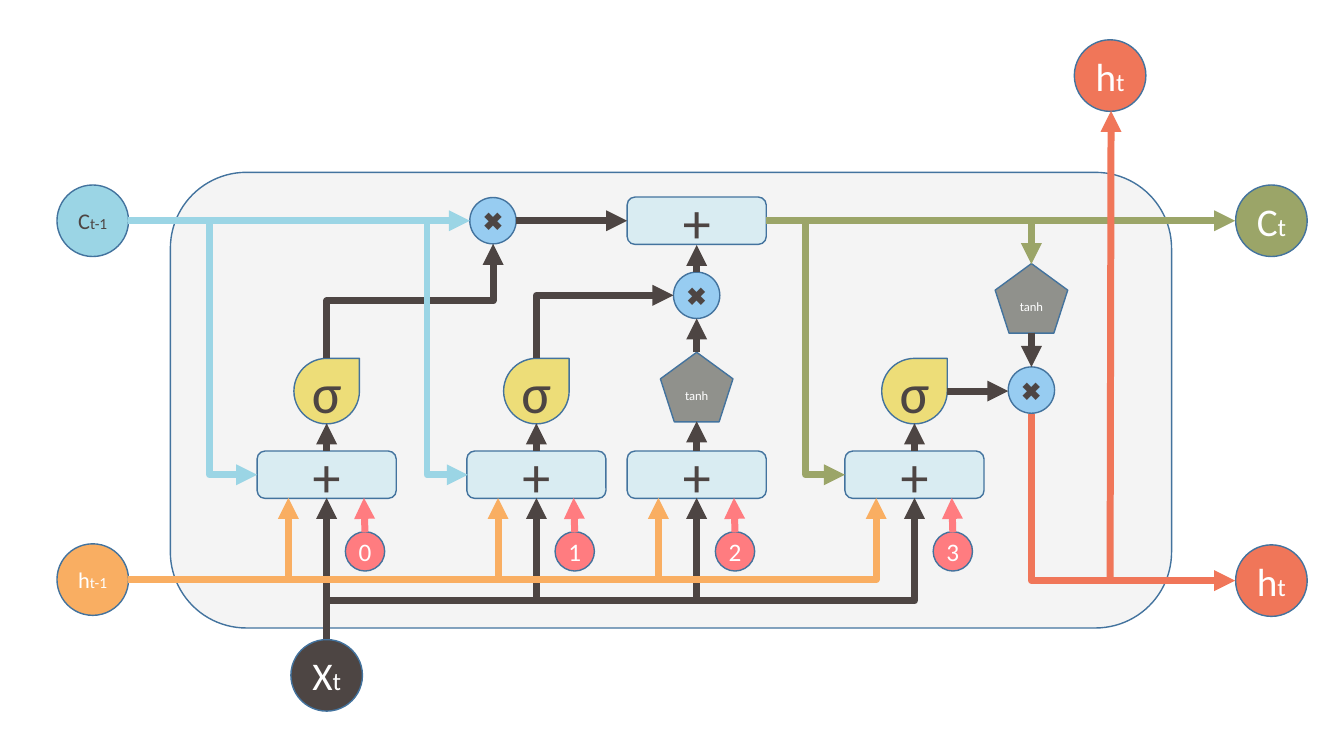
from lxml import etree
from pptx import Presentation
from pptx.dml.color import RGBColor
from pptx.enum.shapes import MSO_CONNECTOR, MSO_SHAPE
from pptx.enum.text import MSO_ANCHOR, PP_ALIGN
from pptx.oxml.ns import qn
from pptx.util import Inches, Pt

OVAL, BOX = MSO_SHAPE.OVAL, MSO_SHAPE.ROUNDED_RECTANGLE
DROP, PENTAGON = MSO_SHAPE.TEAR, MSO_SHAPE.REGULAR_PENTAGON
STRAIGHT, ELBOW = MSO_CONNECTOR.STRAIGHT, MSO_CONNECTOR.ELBOW
MIDDLE, CENTER = MSO_ANCHOR.MIDDLE, PP_ALIGN.CENTER

DARK, WHITE, OUTLINE, PANEL = "4D4543", "FFFFFF", "43739E", "F4F4F4"
BLUE, ORANGE, GREEN, RED, PINK = "9BD5E5", "F9AE62", "9BA568", "F07659", "FF7C80"

# kind: preset, width, height, fill, text colour, text size
KINDS = {
    "sum": (BOX, 1.38, 0.47, "D9ECF2", DARK, 40),
    "sigma": (DROP, 0.65, 0.65, "EDDD78", DARK, 40),
    "tanh": (PENTAGON, 0.72, 0.69, "90918C", WHITE, 9),
    "times": (OVAL, 0.46, 0.46, "97CCF1", DARK, 18),
    "bias": (OVAL, 0.39, 0.39, PINK, WHITE, 18),
}
STATE_SIZE = 0.71
FORGET, INPUT, CANDIDATE, OUTPUT = GATES = (3.24, 5.32, 6.91, 9.07)
SIDE = 0.38                   # offset of the bias and hidden-state inputs
CELL_Y, SIGMA_Y, SUM_Y, BIAS_Y, HIDDEN_Y = 2.19, 3.88, 4.71, 5.47, 5.75
SUM_TOP, SUM_BOTTOM, X_TOP = 4.47, 4.94, 6.34
LAST_X = 10.23                # column of the output tanh and product


def rgb(hex_color):
    """Turn a hex string into a colour."""
    return RGBColor.from_string(hex_color)


def shape(s, preset, center, width, height, fill, runs=(), color=WHITE):
    """Add an outlined shape around a centre, with (text, size) runs."""
    x, y = center
    sp = s.shapes.add_shape(preset, Inches(x - width / 2), Inches(y - height / 2),
                            Inches(width), Inches(height))
    sp.shadow.inherit = False
    sp.fill.solid()
    sp.fill.fore_color.rgb = rgb(fill)
    sp.line.color.rgb = rgb(OUTLINE)
    sp.line.width = Pt(1)
    tf = sp.text_frame
    frame = {"word_wrap": False, "vertical_anchor": MIDDLE, "margin_left": 0,
             "margin_right": 0, "margin_top": 0, "margin_bottom": 0}
    for name, value in frame.items():
        setattr(tf, name, value)
    p = tf.paragraphs[0]
    p.alignment = CENTER
    for text, size in runs:
        r = p.add_run()
        r.text = text
        for name, value in {"name": "Calibri", "size": Pt(size)}.items():
            setattr(r.font, name, value)
        r.font.color.rgb = rgb(color)


def node(s, kind, center, text):
    """Add one operation of the cell."""
    preset, width, height, fill, color, size = KINDS[kind]
    shape(s, preset, center, width, height, fill, [(text, size)], color)


def state(s, center, letter, index, fill, sizes=(28, 18), color=WHITE):
    """Add a circle for an input or output state."""
    shape(s, OVAL, center, STATE_SIZE, STATE_SIZE, fill,
          zip((letter, index), sizes), color)


def arrow(s, start, end, color, kind=STRAIGHT):
    """Add a thick connector with a triangle at its end."""
    c = s.shapes.add_connector(kind, *map(Inches, (*start, *end)))
    c.line.color.rgb = rgb(color)
    c.line.width = Pt(5)
    etree.SubElement(c.line._get_or_add_ln(), qn("a:tailEnd"), type="triangle")
    etree.SubElement(c._element.spPr, qn("a:effectLst"))
    return c


def elbow(s, start, end, color, bend=None, upright=False):
    """Add a bent arrow: one corner, or two with the bend at a fraction.

    An upright one leaves vertically, by a quarter turn about its centre.
    """
    (x1, y1), (x2, y2) = start, end
    if upright:
        cx, cy, dx, dy = (x1 + x2) / 2, (y1 + y2) / 2, y2 - y1, x1 - x2
        start, end = (cx - dx / 2, cy - dy / 2), (cx + dx / 2, cy + dy / 2)
    c = arrow(s, start, end, color, ELBOW)
    spPr = c._element.spPr
    if upright:
        spPr.find(qn("a:xfrm")).set("rot", "5400000")
    geom = spPr.find(qn("a:prstGeom"))
    if bend is None:
        geom.set("prst", "bentConnector2")
    else:
        etree.SubElement(geom.find(qn("a:avLst")), qn("a:gd"), name="adj1",
                         fmla=f"val {round(bend * 100000)}")


def add_nodes(s):
    """Add the panel, the states and the operations."""
    shape(s, BOX, (6.655, 3.97), 9.93, 4.52, PANEL)
    state(s, (FORGET, 6.7), "X", "t", DARK)
    state(s, (0.92, HIDDEN_Y), "h", "t-1", ORANGE, (16, 11))
    state(s, (0.92, CELL_Y), "C", "t-1", BLUE, (16, 11), DARK)
    state(s, (12.61, CELL_Y), "C", "t", GREEN)
    for center in ((12.61, 5.76), (11.01, 0.75)):
        state(s, center, "h", "t", RED)
    for i, x in enumerate(GATES):
        node(s, "sum", (x, SUM_Y), "+")
        node(s, "bias", (x + SIDE, BIAS_Y), str(i))
    node(s, "sum", (CANDIDATE, CELL_Y), "+")
    for center in ((4.89, CELL_Y), (CANDIDATE, 2.93), (LAST_X, 3.87)):
        node(s, "times", center, "✖")
    for x in (FORGET, INPUT, OUTPUT):
        node(s, "sigma", (x, SIGMA_Y), "σ")
    for center in ((CANDIDATE, 3.84), (LAST_X, 2.96)):
        node(s, "tanh", center, "tanh")


def add_flows(s):
    """Add the arrows between the states and the operations."""
    arrow(s, (FORGET, X_TOP), (FORGET, SUM_BOTTOM), DARK)
    for x in GATES[1:]:
        elbow(s, (FORGET, X_TOP), (x, SUM_BOTTOM), DARK, 0.27, upright=True)
    for x in GATES:
        arrow(s, (x + SIDE, 5.28), (x + SIDE - 0.01, SUM_BOTTOM), PINK)
        elbow(s, (1.27, HIDDEN_Y), (x - SIDE, SUM_BOTTOM), ORANGE)
        arrow(s, (x, SUM_TOP), (x, 4.18 if x == CANDIDATE else 4.2), DARK)

    arrow(s, (1.27, CELL_Y), (4.66, CELL_Y), BLUE)
    arrow(s, (5.12, CELL_Y), (6.22, CELL_Y), DARK)
    arrow(s, (CANDIDATE, 3.49), (CANDIDATE, 3.16), DARK)
    elbow(s, (INPUT, 3.55), (6.68, 2.93), DARK, upright=True)
    arrow(s, (CANDIDATE, 2.7), (CANDIDATE, 2.43), DARK)
    arrow(s, (7.6, CELL_Y), (12.25, CELL_Y), GREEN)
    elbow(s, (7.6, CELL_Y), (LAST_X, 2.62), GREEN)
    arrow(s, (LAST_X, 3.3), (LAST_X, 3.64), DARK)
    arrow(s, (9.39, SIGMA_Y), (10, SIGMA_Y), DARK)
    elbow(s, (LAST_X, 4.11), (12.25, 5.76), RED, upright=True)
    elbow(s, (FORGET, 3.55), (4.89, 2.42), DARK, 0.5, upright=True)
    elbow(s, (1.27, CELL_Y), (2.55, SUM_Y), BLUE, 0.63)
    elbow(s, (1.27, CELL_Y), (4.64, SUM_Y), BLUE, 0.88)
    arrow(s, (11.01, HIDDEN_Y), (11.02, 1.1), RED)
    elbow(s, (7.6, CELL_Y), (8.38, SUM_Y), GREEN, 0.5)


def main():
    """Build the slide and save it."""
    prs = Presentation()
    prs.slide_width, prs.slide_height = Inches(13.33), Inches(7.5)
    s = prs.slides.add_slide(prs.slide_layouts[6])
    add_nodes(s)
    add_flows(s)
    prs.save("out.pptx")


main()
